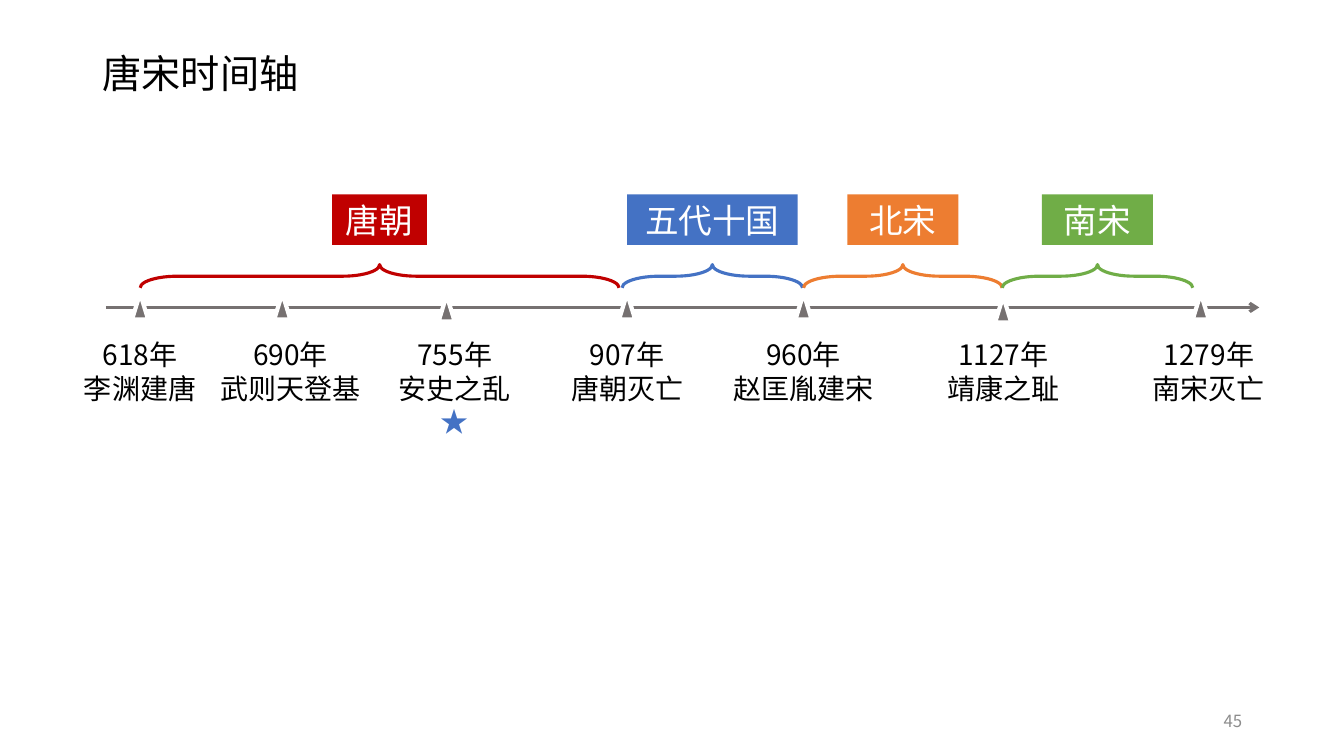
"""Build the Tang and Song dynasties timeline slide."""
from lxml import etree
from pptx import Presentation
from pptx.dml.color import RGBColor
from pptx.enum.shapes import MSO_CONNECTOR, MSO_SHAPE
from pptx.enum.text import MSO_ANCHOR, MSO_AUTO_SIZE, PP_ALIGN
from pptx.oxml.ns import qn
from pptx.util import Pt

PX = 9144
FONT = "Noto Sans CJK SC"
LEFT, CENTER, RIGHT = PP_ALIGN.LEFT, PP_ALIGN.CENTER, PP_ALIGN.RIGHT
TOP, MIDDLE = MSO_ANCHOR.TOP, MSO_ANCHOR.MIDDLE
GROW, FIXED = MSO_AUTO_SIZE.SHAPE_TO_FIT_TEXT, MSO_AUTO_SIZE.NONE
RECTANGLE, TRIANGLE = MSO_SHAPE.RECTANGLE, MSO_SHAPE.ISOSCELES_TRIANGLE
BRACE, STRAIGHT = MSO_SHAPE.RIGHT_BRACE, MSO_CONNECTOR.STRAIGHT
COLORS = {
    "black": "000000", "white": "FFFFFF", "number": "8C8C8C", "axis": "767171",
    "red": "C00000", "blue": "4472C4", "orange": "ED7D31", "green": "70AD47",
}


def color(name):
    return RGBColor.from_string(COLORS[name])


def write(box, lines, size, ink="black", align=CENTER, anchor=TOP, fit=GROW, spacing=1.0):
    frame = box.text_frame
    frame.word_wrap = True
    frame.auto_size = fit
    frame.vertical_anchor = anchor
    for index, line in enumerate(lines):
        paragraph = frame.add_paragraph() if index else frame.paragraphs[0]
        paragraph.alignment = align
        paragraph.line_spacing = spacing
        run = paragraph.add_run()
        run.text = line
        run.font.size = Pt(size)
        run.font.name = FONT
        run.font.color.rgb = color("blue" if line == "★" else ink)
        etree.SubElement(run._r.get_or_add_rPr(), qn("a:ea"), typeface=FONT)


prs = Presentation()
prs.slide_width, prs.slide_height = 1333 * PX, 750 * PX
slide = prs.slides.add_slide(prs.slide_layouts[6])
shapes = slide.shapes

title = shapes.add_textbox(92 * PX, 40 * PX, 1150 * PX, 71 * PX)
write(title, ["唐宋时间轴"], 28, align=LEFT, anchor=MIDDLE, fit=FIXED, spacing=0.9)
page_number = shapes.add_textbox(942 * PX, 695 * PX, 300 * PX, 40 * PX)
write(page_number, ["45"], 12, ink="number", align=RIGHT, anchor=MIDDLE, fit=FIXED)

axis = shapes.add_connector(STRAIGHT, 105 * PX, 305 * PX, 1249 * PX, 305 * PX)
axis.line.color.rgb = color("axis")
axis.line.width = Pt(2.25)
axis_properties = axis._element.spPr
etree.SubElement(axis_properties.find(qn("a:ln")), qn("a:tailEnd"), type="arrow")
etree.SubElement(axis_properties, qn("a:effectLst"))

events = [
    (139, 291, 139, 144, ["618年", "李渊建唐"]),
    (280, 291, 288, 169, ["690年", "武则天登基"]),
    (443, 293, 451, 169, ["755年", "安史之乱", "★"]),
    (622, 291, 622, 169, ["907年", "唐朝灭亡"]),
    (797, 291, 797, 169, ["960年", "赵匡胤建宋"]),
    (995, 294, 995, 169, ["1127年", "靖康之耻"]),
    (1191, 291, 1199, 169, ["1279年", "南宋灭亡"]),
]
for marker_x, marker_top, caption_x, caption_width, lines in events:
    marker = shapes.add_shape(TRIANGLE, (marker_x - 8) * PX, marker_top * PX, 16 * PX, 26 * PX)
    marker.shadow.inherit = False
    marker.fill.solid()
    marker.fill.fore_color.rgb = color("axis")
    marker.line.color.rgb = color("white")
    marker.line.width = Pt(3)
    caption_height = 77 if len(lines) == 2 else 111
    caption = shapes.add_textbox(
        caption_x * PX - caption_width * PX // 2, 330 * PX, caption_width * PX, caption_height * PX)
    write(caption, lines, 20)

BRACE_DEPTH, BRACE_MIDDLE = 23, 274
dynasties = [
    ("唐朝", "red", 139, 614, 94),
    ("五代十国", "blue", 617, 796, 169),
    ("北宋", "orange", 797, 994, 110),
    ("南宋", "green", 994, 1183, 110),
]
for dynasty, hue, start, end, label_width in dynasties:
    span = end - start
    middle = (start + end) * PX // 2
    brace = shapes.add_shape(
        BRACE, middle - BRACE_DEPTH * PX // 2, BRACE_MIDDLE * PX - span * PX // 2,
        BRACE_DEPTH * PX, span * PX)
    brace.rotation = 270
    brace.adjustments[0] = 1.61
    brace.adjustments[1] = 0.5
    brace.shadow.inherit = False
    brace.fill.background()
    brace.line.color.rgb = color(hue)
    brace.line.width = Pt(2.25)
    label = shapes.add_shape(
        RECTANGLE, middle - label_width * PX // 2, 193 * PX, label_width * PX, 50 * PX)
    label.shadow.inherit = False
    label.fill.solid()
    label.fill.fore_color.rgb = color(hue)
    label.line.fill.background()
    write(label, [dynasty], 24, ink="white")

prs.save("out.pptx")
